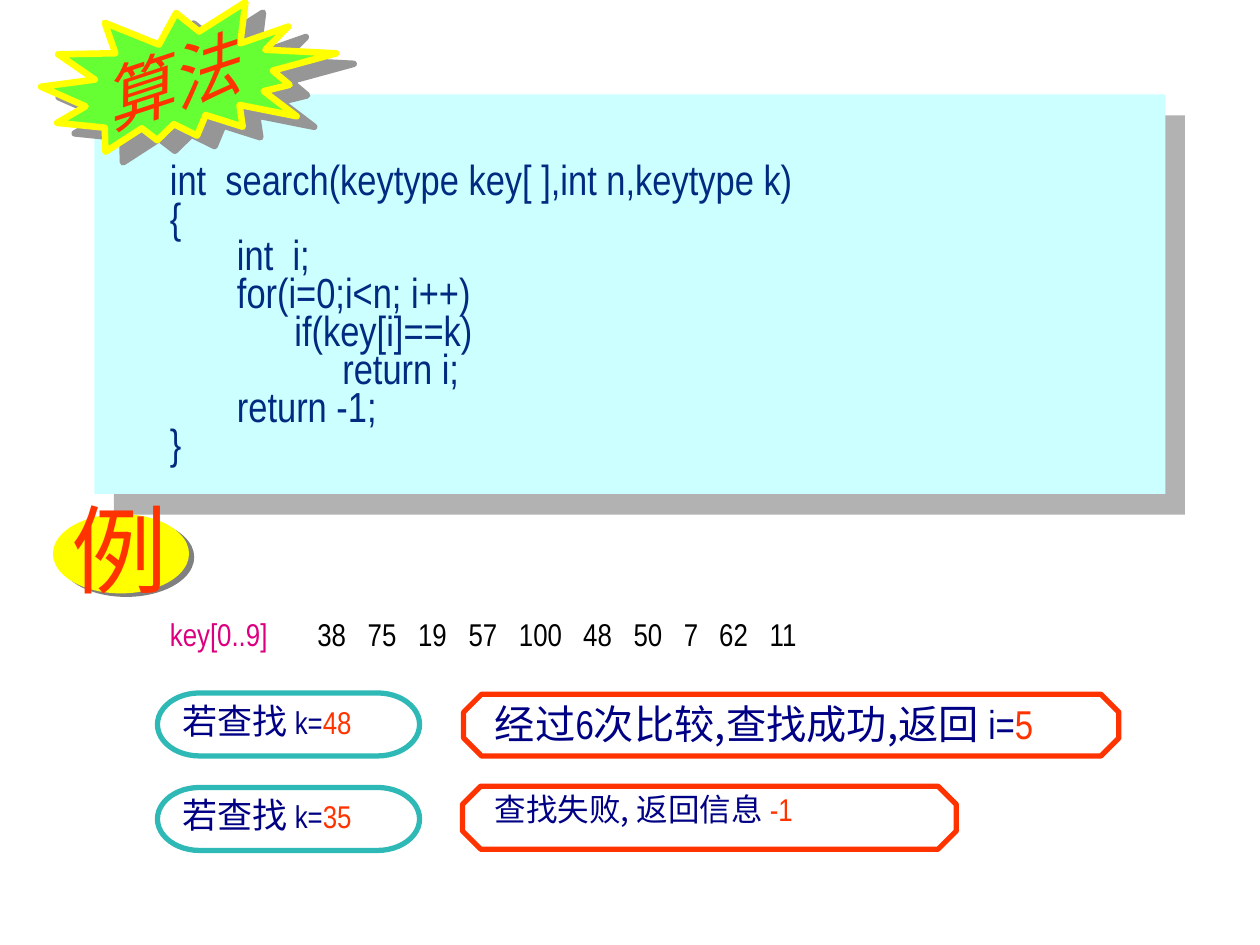
from lxml import etree
from pptx import Presentation
from pptx import util as u
from pptx.dml.color import RGBColor
from pptx.enum import shapes, text
from pptx.oxml import ns

COLORS = {
    "navy": "000084", "code": "002B80", "red": "FF3300", "pink": "DC0081",
    "black": "000000", "white": "FFFFFF", "teal": "2EB9B6", "cyan": "CCFFFF",
    "green": "66FF33", "yellow": "FFFF00", "panel_shade": "B2B2B2",
    "burst_shade": "969696", "oval_shade": "808080",
}
NARROW, CJK = "Arial Narrow", "Noto Sans CJK SC"
KIND = shapes.MSO_SHAPE
CODE = """int  search(keytype key[ ],int n,keytype k)
{
       int  i;
       for(i=0;i<n; i++)
             if(key[i]==k)
                  return i;
       return -1;
}"""
KEYS = [38, 75, 19, 57, 100, 48, 50, 7, 62, 11]


def rgb(name):
    return RGBColor.from_string(COLORS[name])


def sub(parent, tag, **attrs):
    return etree.SubElement(parent, ns.qn(tag), {k: str(v) for k, v in attrs.items()})


def add_shadow(props, color, distance, angle):
    effects = sub(props, "a:effectLst")
    shade = sub(effects, "a:outerShdw", blurRad=0, dist=int(u.Pt(distance)),
                dir=angle * 60000, algn="ctr", rotWithShape=0)
    sub(shade, "a:srgbClr", val=COLORS[color])


class Deck:
    def __init__(self):
        self.prs = Presentation()
        self.prs.slide_width, self.prs.slide_height = u.Inches(10), u.Inches(7.5)
        self.s = self.prs.slides.add_slide(self.prs.slide_layouts[6])

    def shape(self, kind, box, fill=None, line=None, width=3, shadow=None, rotation=0):
        sp = self.s.shapes.add_shape(kind, *map(u.Inches, box))
        sp.rotation = rotation
        if fill:
            sp.fill.solid()
            sp.fill.fore_color.rgb = rgb(fill)
        else:
            sp.fill.background()
        if line:
            sp.line.color.rgb = rgb(line)
            sp.line.width = u.Pt(width)
        else:
            sp.line.fill.background()
        if shadow:
            add_shadow(sp._element.spPr, *shadow)
        else:
            sp.shadow.inherit = False
        return sp

    def text(self, box, paragraphs, spacing=None, rotation=0, italic=False,
             shaded=False, tabs=()):
        sp = self.s.shapes.add_textbox(*map(u.Inches, box))
        sp.rotation = rotation
        tf = sp.text_frame
        tf.word_wrap = True
        tf.auto_size = text.MSO_AUTO_SIZE.SHAPE_TO_FIT_TEXT
        for i, runs in enumerate(paragraphs):
            p = tf.paragraphs[0] if i == 0 else tf.add_paragraph()
            if spacing:
                p.line_spacing = spacing
            if tabs:
                stops = sub(p._p.get_or_add_pPr(), "a:tabLst")
                for stop in tabs:
                    sub(stops, "a:tab", pos=int(u.Inches(stop)), algn="l")
            for words, size, color, font in runs:
                r = p.add_run()
                r.text = words
                r.font.size = u.Pt(size)
                r.font.color.rgb = rgb(color)
                if italic:
                    r.font.italic = True
                props = r.font._element
                if shaded:
                    add_shadow(props, "white", 3, 45)
                r.font.name = font
                sub(props, "a:ea", typeface=CJK)
        return sp

    def query(self, top, key):
        self.shape(KIND.FLOWCHART_TERMINATOR, (1.25, top, 2.08, 0.5), line="teal")
        self.text((1.35, top, 2.05, 0.5), [[
            ("若查找", 20, "navy", NARROW), (" k=", 18, "navy", NARROW),
            (key, 18, "red", NARROW)]])

    def answer(self, box, text_box, runs):
        sp = self.shape(KIND.OCTAGON, box, line="red")
        sp.adjustments[0] = 0.29
        self.text(text_box, [runs])


def main():
    d = Deck()
    d.query(5.5, "48")
    d.answer((3.68, 5.51, 5.2, 0.49), (3.83, 5.5, 5.33, 0.48), [
        ("经过", 23, "navy", CJK), ("6", 23, "navy", NARROW),
        ("次比较,查找成功,返回 ", 23, "navy", CJK),
        ("i=", 23, "navy", NARROW), ("5", 23, "red", NARROW)])

    d.shape(KIND.RECTANGLE, (0.75, 0.75, 8.5, 3.17), "cyan",
            shadow=("panel_shade", 16.3, 47))
    d.text((1.25, 1.26, 8.58, 2.52),
           [[(row, 24, "code", NARROW)] for row in CODE.split("\n")], spacing=0.75)

    d.shape(KIND.EXPLOSION2, (0.33, 0, 2.33, 1.23), "green", "yellow", 3.75,
            ("burst_shade", 11.7, 31), 2.2)
    d.text((0.68, 0.21, 1.65, 0.77), [[("算法", 40, "red", NARROW)]],
           rotation=341.8, italic=True, shaded=True)

    d.answer((3.67, 6.24, 3.92, 0.5), (3.83, 6.22, 3.7, 0.4), [
        ("查找失败, 返回信息 ", 18, "navy", CJK), ("-1", 18, "red", NARROW)])
    d.query(6.25, "35")

    digit, gap, stop = 0.114, 0.171, 1.17
    tabs = []
    for key in KEYS:
        tabs.append(round(stop, 2))
        stop += digit * len(str(key)) + gap
    d.text((1.25, 4.83, 8.08, 0.4), [[
        ("key[0..9]", 18, "pink", NARROW),
        ("\t" + "\t".join(map(str, KEYS)), 18, "black", NARROW)]], tabs=tabs)

    d.shape(KIND.OVAL, (0.42, 4.08, 1.08, 0.63), "yellow",
            shadow=("oval_shade", 3.6, 34))
    d.text((0.47, 3.84, 1.08, 1.02), [[("例", 55, "red", NARROW)]], shaded=True)
    d.prs.save("out.pptx")


if __name__ == "__main__":
    main()
